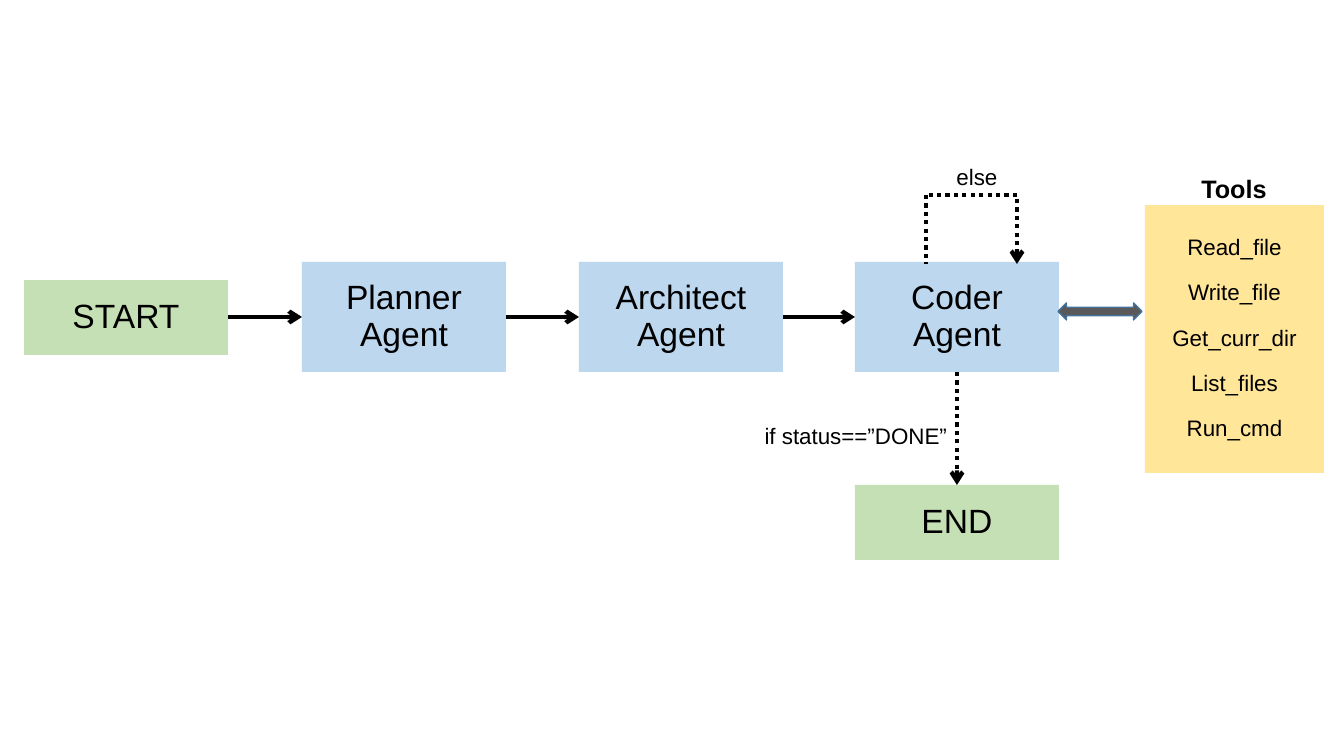
from pptx import Presentation
from pptx.dml.color import RGBColor
from pptx.enum.dml import MSO_LINE
from pptx.enum.shapes import MSO_CONNECTOR, MSO_SHAPE
from pptx.enum.text import MSO_ANCHOR, PP_ALIGN
from pptx.oxml.ns import qn
from pptx.util import Pt
from lxml import etree

SCALE = 12192000 / 1344  # EMU per px
COLORS = {"black": "000000", "green": "C5E0B4", "blue": "BDD7EE",
          "yellow": "FFE699", "gray": "595959", "edge": "43739E"}


def px(*nums):
    return [round(n * SCALE) for n in nums]


def write(shape, text, size=24, bold=False, align=PP_ALIGN.CENTER,
          fill=None, before=15.1, lead=0.9, anchor=MSO_ANCHOR.MIDDLE):
    if fill:
        shape.fill.solid()
        shape.fill.fore_color.rgb = RGBColor.from_string(COLORS[fill])
    frame = shape.text_frame
    frame.word_wrap = True
    frame.vertical_anchor = anchor
    frame.text = text
    for para in frame.paragraphs:
        para.alignment = align
        para.line_spacing = lead
        para.space_before = Pt(before)
        font = para.runs[0].font
        font.name, font.size, font.bold = "Arial", Pt(size), bold
        font.color.rgb = RGBColor.from_string(COLORS["black"])


# Slide
deck = Presentation()
deck.slide_width, deck.slide_height = px(1344, 756)
slide = deck.slides.add_slide(deck.slide_layouts[0])
shapes = slide.shapes
title = shapes.title.element
title.getparent().remove(title)

# Start box
start = slide.placeholders[1]
start.left, start.top, start.width, start.height = px(24, 280, 204, 75)
write(start, "START", fill="green")

# Agents, end and tools
tools = "Read_file\nWrite_file\nGet_curr_dir\nList_files\nRun_cmd"
for text, spot, fill, size in [
    ("Planner Agent", (302, 262, 204, 110), "blue", 24),
    ("Architect Agent", (579, 262, 204, 110), "blue", 24),
    ("Coder Agent", (855, 262, 204, 110), "blue", 24),
    ("END", (855, 485, 204, 75), "green", 24),
    (tools, (1145, 205, 179, 268), "yellow", 16),
]:
    box = shapes.add_shape(MSO_SHAPE.RECTANGLE, *px(*spot))
    box.shadow.inherit = False
    box.line.fill.background()
    write(box, text, size=size, fill=fill)

# Flow lines: ends, dotted, arrowhead
for ends, dotted, head in [
    ((228, 317, 302, 317), False, True),
    ((506, 317, 579, 317), False, True),
    ((783, 317, 855, 317), False, True),
    ((957, 372, 957, 485), True, True),
    ((1017, 199, 1017, 264), True, True),
    ((1017, 195, 926, 195), True, False),
    ((926, 195, 926, 264), True, False),
]:
    link = shapes.add_connector(MSO_CONNECTOR.STRAIGHT, *px(*ends))
    link.line.width = Pt(3)
    link.line.color.rgb = RGBColor.from_string(COLORS["black"])
    if dotted:
        link.line.dash_style = MSO_LINE.ROUND_DOT
        link.line._ln.find(qn("a:prstDash")).set("val", "sysDot")
    if head:
        etree.SubElement(link.line._ln, qn("a:tailEnd"), type="arrow")
    etree.SubElement(link._element.spPr, qn("a:effectLst"))

# Labels
for text, spot, size, bold, align in [
    ("if status==”DONE”", (753, 417, 204, 37), 16, False, PP_ALIGN.RIGHT),
    ("else", (937, 158, 80, 37), 16, False, PP_ALIGN.CENTER),
    ("Tools", (1170, 168, 128, 40), 18, True, PP_ALIGN.CENTER),
]:
    label = shapes.add_textbox(*px(*spot))
    write(label, text, size=size, bold=bold, align=align,
          before=0, lead=1.0, anchor=MSO_ANCHOR.TOP)

# Two-way arrow to the tools
swap = shapes.add_shape(MSO_SHAPE.LEFT_RIGHT_ARROW, *px(1058, 303, 84, 17))
swap.shadow.inherit = False
swap.fill.solid()
swap.fill.fore_color.rgb = RGBColor.from_string(COLORS["gray"])
swap.line.color.rgb = RGBColor.from_string(COLORS["edge"])
swap.line.width = Pt(1)

deck.save("out.pptx")
